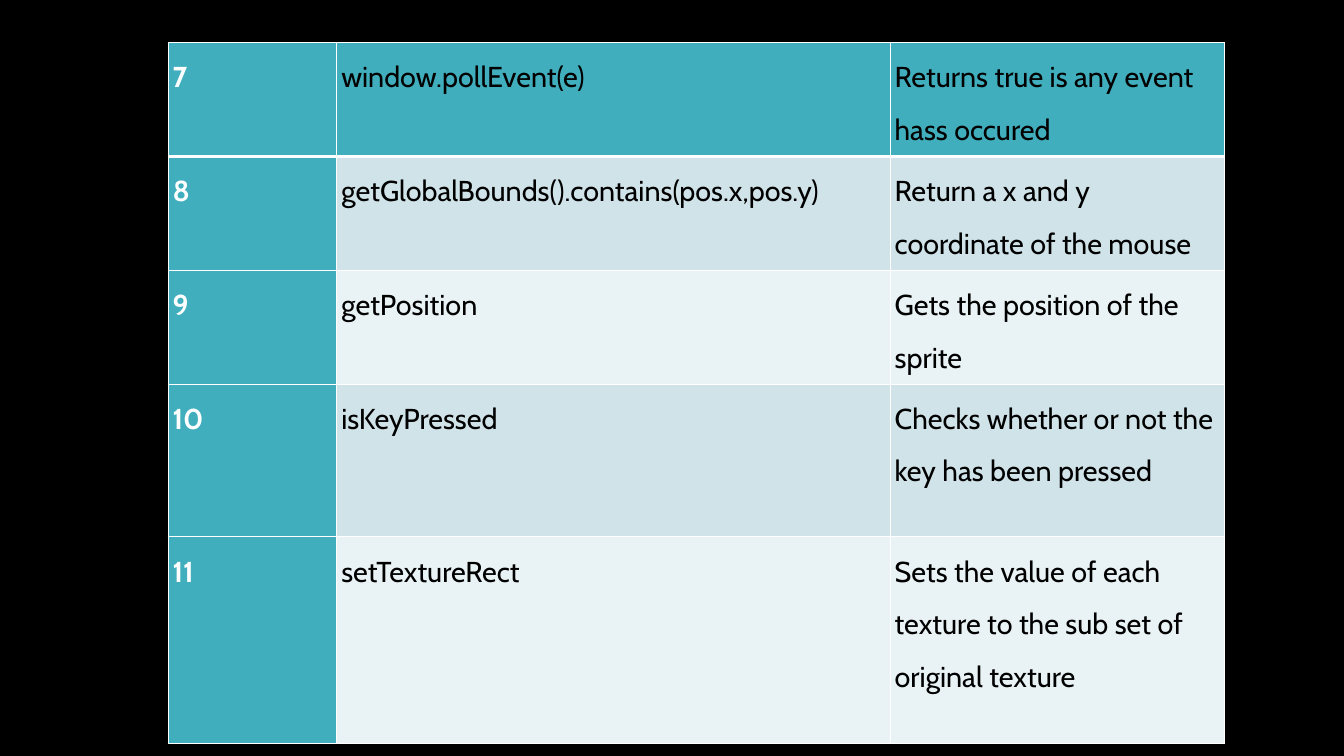
from lxml.etree import SubElement
from pptx import Presentation
from pptx.dml.color import RGBColor
from pptx.oxml.ns import qn
from pptx.util import Inches, Pt

COLORS = {
    "background": "000000",
    "accent": "41AEBD",
    "band_dark": "CFE3E8",
    "band_light": "E9F2F4",
    "light": "FFFFFF",
    "dark": "000000",
}
FUNCTIONS = [
    ("7", "window.pollEvent(e)", "Returns true is any event hass occured"),
    ("8", "getGlobalBounds().contains(pos.x,pos.y)", "Return a x and y coordinate of the mouse"),
    ("9", "getPosition", "Gets the position of the sprite"),
    ("10", "isKeyPressed", "Checks whether or not the key has been pressed"),
    ("11", "setTextureRect", "Sets the value of each texture to the sub set of original texture"),
]
COLUMN_WIDTHS = [2.61, 8.56, 5.17]
ROW_HEIGHTS = [1.76, 1.76, 1.76, 2.36, 3.2]


def color(name):
    return RGBColor.from_string(COLORS[name])


def add_border(cell, side, points):
    """Draw one cell edge; side is L, R, T or B, and fills must come later."""
    line = SubElement(cell._tc.get_or_add_tcPr(), qn(f"a:ln{side}"), w=str(Pt(points)))
    fill = SubElement(line, qn("a:solidFill"))
    SubElement(fill, qn("a:srgbClr"), val=COLORS["light"])


deck = Presentation()
deck.slide_width, deck.slide_height = Inches(20.79), Inches(11.69)
page = deck.slides.add_slide(deck.slide_layouts[6])
page.background.fill.solid()
page.background.fill.fore_color.rgb = color("background")

table = page.shapes.add_table(
    len(ROW_HEIGHTS), len(COLUMN_WIDTHS), Inches(2.6), Inches(0.66),
    Inches(sum(COLUMN_WIDTHS)), Inches(sum(ROW_HEIGHTS)),
).table
for column, width in zip(table.columns, COLUMN_WIDTHS):
    column.width = Inches(width)
for row, height in zip(table.rows, ROW_HEIGHTS):
    row.height = Inches(height)

for r, texts in enumerate(FUNCTIONS):
    for c, text in enumerate(texts):
        cell = table.cell(r, c)
        cell.margin_left = cell.margin_right = Inches(0.07)
        cell.margin_top = cell.margin_bottom = 0

        # The rule between the first row and the rest is heavier
        for side in "LRTB":
            heavy = (r, side) in [(0, "B"), (1, "T")]
            add_border(cell, side, 3 if heavy else 1)

        band = "band_dark" if r % 2 else "band_light"
        cell.fill.solid()
        cell.fill.fore_color.rgb = color("accent" if r == 0 or c == 0 else band)

        cell.text = text
        para = cell.text_frame.paragraphs[0]
        para.line_spacing = 1.5
        para.font.name = "Cabin"
        para.font.size = Pt(32)
        para.font.bold = c == 0
        para.font.color.rgb = color("light" if c == 0 else "dark")

deck.save("out.pptx")
